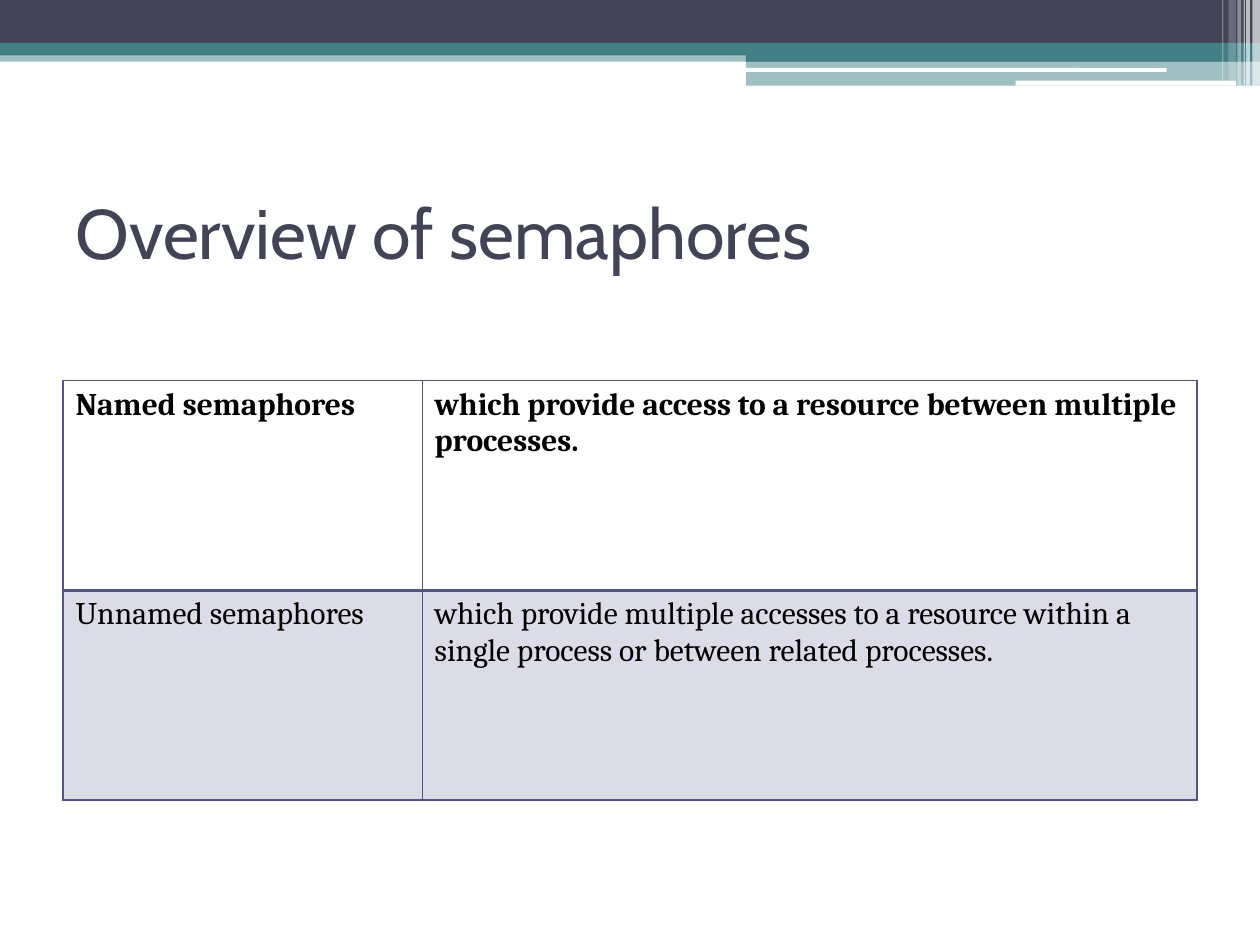
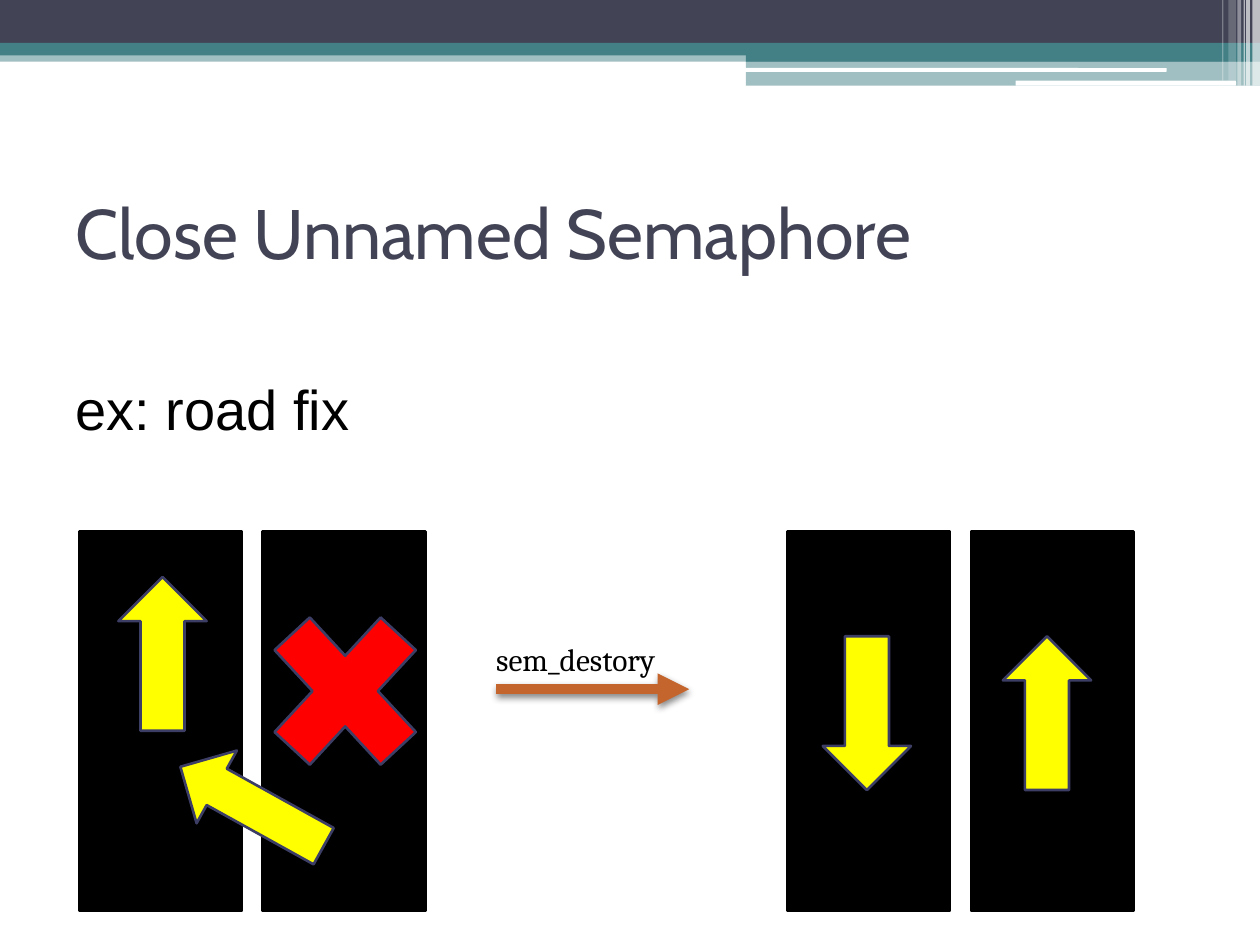
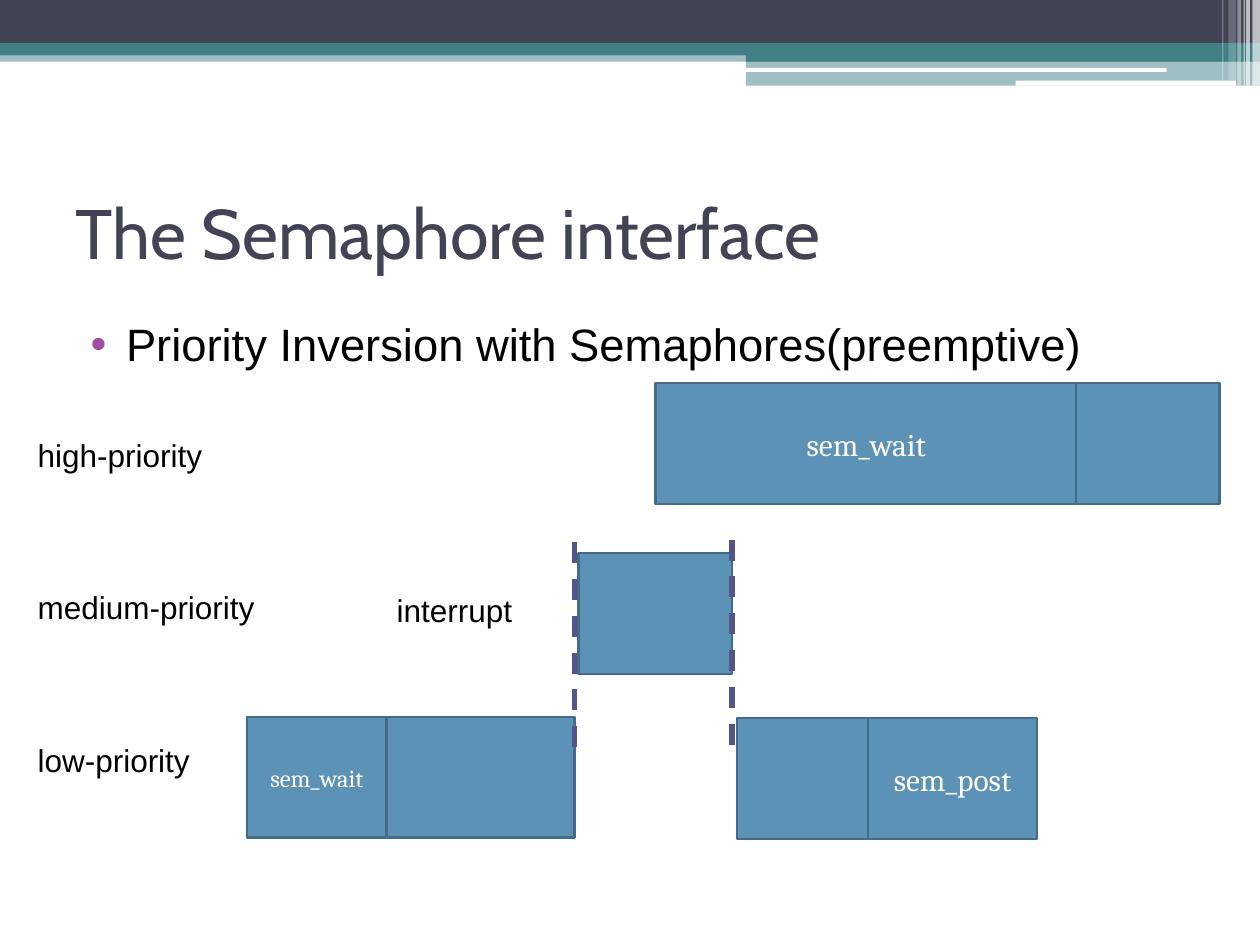
from pptx import Presentation
from pptx.dml.color import RGBColor
from pptx.enum.dml import MSO_LINE as Dash
from pptx.enum.shapes import MSO_CONNECTOR as Link, MSO_SHAPE as Kind
from pptx.enum.text import MSO_ANCHOR as Anchor, MSO_AUTO_SIZE as Fit, PP_ALIGN as Align
from pptx.oxml import parse_xml
from pptx.oxml.ns import nsdecls, qn
from pptx.util import Inches, Pt

WIDTH, HEIGHT = Inches(10), Inches(7.5)
CELL = WIDTH / 100

INK, TEAL, WHITE, BLACK = "424456", "438086", "FFFFFF", "000000"
VIOLET, OUTLINE, ORANGE, PURPLE = "53548A", "3D3E66", "C4652D", "A04DA3"
RED, YELLOW, BLUE, BLUE_EDGE = "FF0000", "FFFF00", "5C92B5", "446C86"

TITLE = {"name": "Cabin", "size": Pt(40), "bold": False}
SERIF = {"name": "Cambria", "size": Pt(18), "bold": False}
SMALL_SERIF = SERIF | {"size": Pt(14)}
SANS = {"name": "Arial", "size": Pt(18)}

BANDS = [
    (Kind.RECTANGLE, (0, 4, 100, 0.9), TEAL, 50),
    (Kind.RECTANGLE, (0, 0, 100, 3.4), INK, 100),
    (Kind.RECTANGLE, (0, 3.4, 100, 1), TEAL, 100),
    (Kind.RECTANGLE, (59.2, 3.9, 40.8, 1), TEAL, 100),
    (Kind.RECTANGLE, (59.2, 4.85, 40.8, 1.95), TEAL, 50),
    (Kind.ROUNDED_RECTANGLE, (59.1, 5.4, 33.5, 0.3), WHITE, 100),
    (Kind.ROUNDED_RECTANGLE, (80.6, 6.4, 17.5, 0.4), WHITE, 100),
]
STRIPES = [
    (99.4, 0.6, 6.8, 65), (98.9, 0.3, 6.8, 65), (98.7, 0.1, 6.8, 60),
    (98.2, 0.3, 6.8, 40), (97.5, 0.6, 6.4, 20), (97, 0.1, 6.4, 30),
]


def grid(*cells):
    return [round(cell * CELL) for cell in cells]


def rgb(color):
    return RGBColor.from_string(color)


def apply(target, values):
    for name, value in values.items():
        setattr(target, name, value)


def paint(fill, color, element, alpha=100):
    fill.solid()
    fill.fore_color.rgb = rgb(color)
    if alpha < 100:
        tone = next(element.iter(qn("a:srgbClr")))
        tone.append(parse_xml(f'<a:alpha {nsdecls("a")} val="{alpha * 1000}"/>'))


def write(para, text, font, color=BLACK, **layout):
    span = para.add_run()
    span.text = text
    apply(span.font, font)
    span.font.color.rgb = rgb(color)
    apply(para, layout)


def add_block(page, kind, area, color, edge=None, alpha=100, turn=0):
    block = page.shapes.add_shape(kind, *grid(*area))
    apply(block, {"rotation": turn})
    block.shadow.inherit = False
    paint(block.fill, color, block.element, alpha)
    if edge:
        block.line.color.rgb = rgb(edge)
        block.line.width = Pt(1.5)
    else:
        block.line.fill.background()
    return block


def add_label(page, area, lines, font, gap=0, wrap=True):
    box = page.shapes.add_textbox(*grid(*area))
    frame = box.text_frame
    frame.word_wrap = wrap
    for index, line in enumerate(lines):
        para = frame.add_paragraph() if index else frame.paragraphs[0]
        write(para, line, font, space_before=Pt(gap if index else 0))


def add_line(page, start, end, color, width, effect=""):
    line = page.shapes.add_connector(Link.STRAIGHT, *grid(*start, *end))
    line.line.color.rgb = rgb(color)
    line.line.width = Pt(width)
    properties = line.element.find(qn("p:spPr"))
    properties.append(parse_xml(f'<a:effectLst {nsdecls("a")}>{effect}</a:effectLst>'))
    return line


def add_page(deck, layout, title):
    page = deck.slides.add_slide(deck.slide_layouts[layout])
    box = page.shapes.title
    place(box, (5, 12.5, 90, 11.7))
    box.text_frame.vertical_anchor = Anchor.MIDDLE
    write(box.text_frame.paragraphs[0], title, TITLE, INK, alignment=Align.LEFT)
    return page


def place(box, area):
    apply(box, dict(zip(("left", "top", "width", "height"), grid(*area))))
    apply(box.text_frame, {"auto_size": Fit.NONE, "word_wrap": True})


def add_body(page, area, text, size, before=0, inset=0.5, hang=(0, 0), bullet=None):
    box = page.placeholders[1]
    place(box, area)
    box.text_frame.margin_top = grid(inset)[0]
    para = box.text_frame.paragraphs[0]
    write(para, text, SANS | {"size": Pt(size)}, space_before=Pt(before))
    properties = para._p.get_or_add_pPr()
    for name, length in zip(("marL", "indent"), grid(*hang)):
        properties.set(name, str(length))
    marks = ["<a:buNone {}/>"]
    if bullet:
        marks = [f'<a:buClr {{}}><a:srgbClr val="{PURPLE}"/></a:buClr>',
                 '<a:buFont {} typeface="Arial"/>', f'<a:buChar {{}} char="{bullet}"/>']
    for mark in marks:
        properties.append(parse_xml(mark.format(nsdecls("a"))))


def move_bands_to_master(deck, page):
    stripes = [(Kind.RECTANGLE, (left, 0, width, height), WHITE, alpha)
               for left, width, height, alpha in STRIPES]
    tree = deck.slide_master.shapes.element
    for index, (kind, area, color, alpha) in enumerate(BANDS + stripes):
        band = add_block(page, kind, area, color, alpha=alpha)
        band.element.nvSpPr.cNvPr.set("id", str(100 + index))
        tree.insert(2 + index, band.element)


def add_borders(cell, widths):
    properties = cell.get_or_add_tcPr()
    for index, (side, width) in enumerate(zip("LRTB", widths)):
        properties.insert(index, parse_xml(
            f'<a:ln{side} {nsdecls("a")} w="{Pt(width)}"><a:solidFill>'
            f'<a:srgbClr val="{VIOLET}"/></a:solidFill></a:ln{side}>'))


def add_definitions(page, area, columns, rows):
    frame = page.shapes.add_table(len(rows), len(columns), *grid(*area))
    table = frame.table
    apply(table, {"first_row": False, "horz_banding": False})
    for column, width in zip(table.columns, grid(*columns)):
        column.width = width
    for row_index, (row, texts) in enumerate(zip(frame.element.iter(qn("a:tr")), rows)):
        for column_index, (element, text) in enumerate(zip(row.iter(qn("a:tc")), texts)):
            cell = table.cell(row_index, column_index)
            if row_index:
                paint(cell.fill, VIOLET, element, 20)
            else:
                cell.fill.background()
            sides = (0.5, 1) if column_index else (1, 0.5)
            add_borders(element, sides + ((2, 1) if row_index else (1, 2)))
            write(cell.text_frame.paragraphs[0], text, SERIF | {"bold": row_index == 0})


def add_road(page, left):
    for lane in range(2):
        add_block(page, Kind.RECTANGLE, (left + 14.55 * lane, 42.2, 12.9, 30.1), BLACK, BLACK)


def add_arrow(page, area, turn):
    add_block(page, Kind.RIGHT_ARROW, area, YELLOW, OUTLINE, turn=turn)


def add_task(page, left, top, width, text="", font=SERIF):
    task = add_block(page, Kind.RECTANGLE, (left, top, width, 9.6), BLUE, BLUE_EDGE)
    if text:
        task.text_frame.vertical_anchor = Anchor.MIDDLE
        write(task.text_frame.paragraphs[0], text, font, WHITE, alignment=Align.CENTER)


def build_overview(deck):
    page = add_page(deck, 5, "Overview of semaphores")
    move_bands_to_master(deck, page)
    add_definitions(page, (5, 30.2, 90, 33.3), (28.5, 61.5), [
        ("Named semaphores",
         "which provide access to a resource between multiple processes."),
        ("Unnamed semaphores",
         "which provide multiple accesses to a resource within a single process "
         "or between related processes."),
    ])


def build_road(deck):
    page = add_page(deck, 1, "Close Unnamed Semaphore")
    add_body(page, (5, 23.5, 65.5, 44.7), "ex: road fix", 32, inset=6.2)
    add_road(page, 6.3)
    add_block(page, Kind.MATH_MULTIPLY, (19.3, 46.1, 16.2, 17.5), RED, OUTLINE)
    add_arrow(page, (13.5, 60.7, 13, 6.6), 209)
    add_arrow(page, (6.8, 48.4, 12.2, 7), 270)
    shadow = ('<a:outerShdw blurRad="50800" dist="25400" dir="5400000" rotWithShape="0">'
              f'<a:srgbClr val="{BLACK}"><a:alpha val="45000"/></a:srgbClr></a:outerShdw>')
    step = add_line(page, (39.4, 54.7), (54.7, 54.7), ORANGE, 6, shadow)
    step.line._get_or_add_ln().append(parse_xml(f'<a:tailEnd {nsdecls("a")} type="triangle"/>'))
    add_label(page, (38.4, 50.3, 15.3, 4), ["sem_destory"], SERIF, wrap=False)
    add_road(page, 62.5)
    for left, turn in ((77, 270), (62.7, 90)):
        add_arrow(page, (left, 53.1, 12.2, 7), turn)


def build_priorities(deck):
    page = add_page(deck, 1, "The Semaphore interface")
    add_body(page, (5, 24.6, 90, 5.8), "Priority Inversion with Semaphores(preemptive)",
             25.9, before=3, hang=(4, -2.8), bullet="•")
    add_label(page, (2, 34.1, 20.9, 31.3),
              ["high-priority", "medium-priority", "low-priority"], SANS, gap=65.5)
    add_task(page, 30.7, 56.9, 14.9)
    add_task(page, 19.6, 56.9, 11.1, "sem_wait", SMALL_SERIF)
    add_task(page, 52, 30.4, 33.5, "sem_wait")
    add_task(page, 85.4, 30.4, 11.4)
    add_label(page, (30.5, 46.4, 13.2, 4), ["interrupt"], SANS)
    add_task(page, 45.9, 43.9, 12.2)
    for left, bottom in ((58.1, 59.1), (45.6, 59.3)):
        edge = add_line(page, (left, bottom), (left, bottom - 17.3), VIOLET, 3)
        edge.line.dash_style = Dash.DASH
    add_task(page, 58.5, 57, 10.4)
    add_task(page, 68.9, 57, 13.4, "sem_post")


def main():
    deck = Presentation()
    apply(deck, {"slide_width": WIDTH, "slide_height": HEIGHT})
    for build in (build_overview, build_road, build_priorities):
        build(deck)
    deck.save("out.pptx")


if __name__ == "__main__":
    main()
